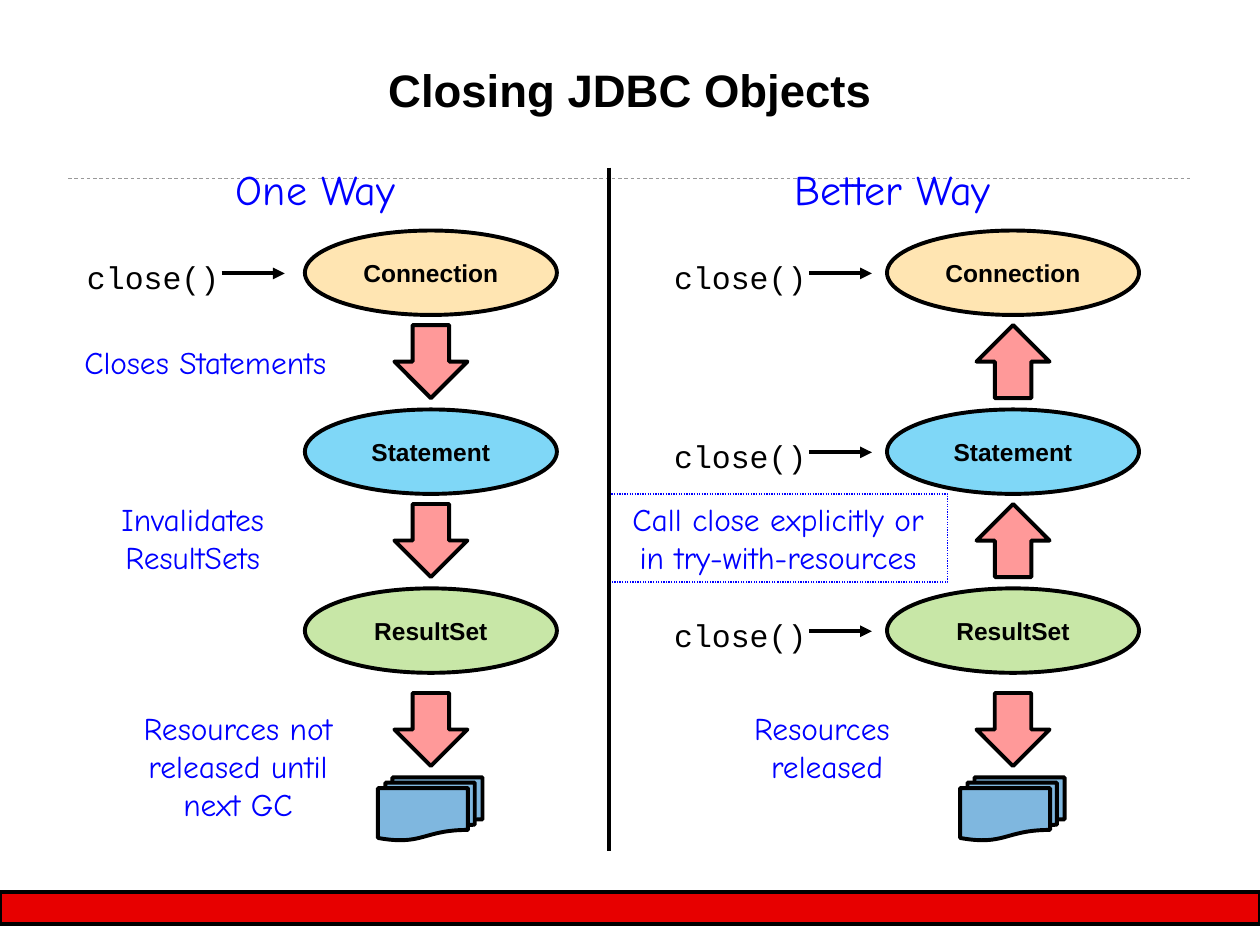
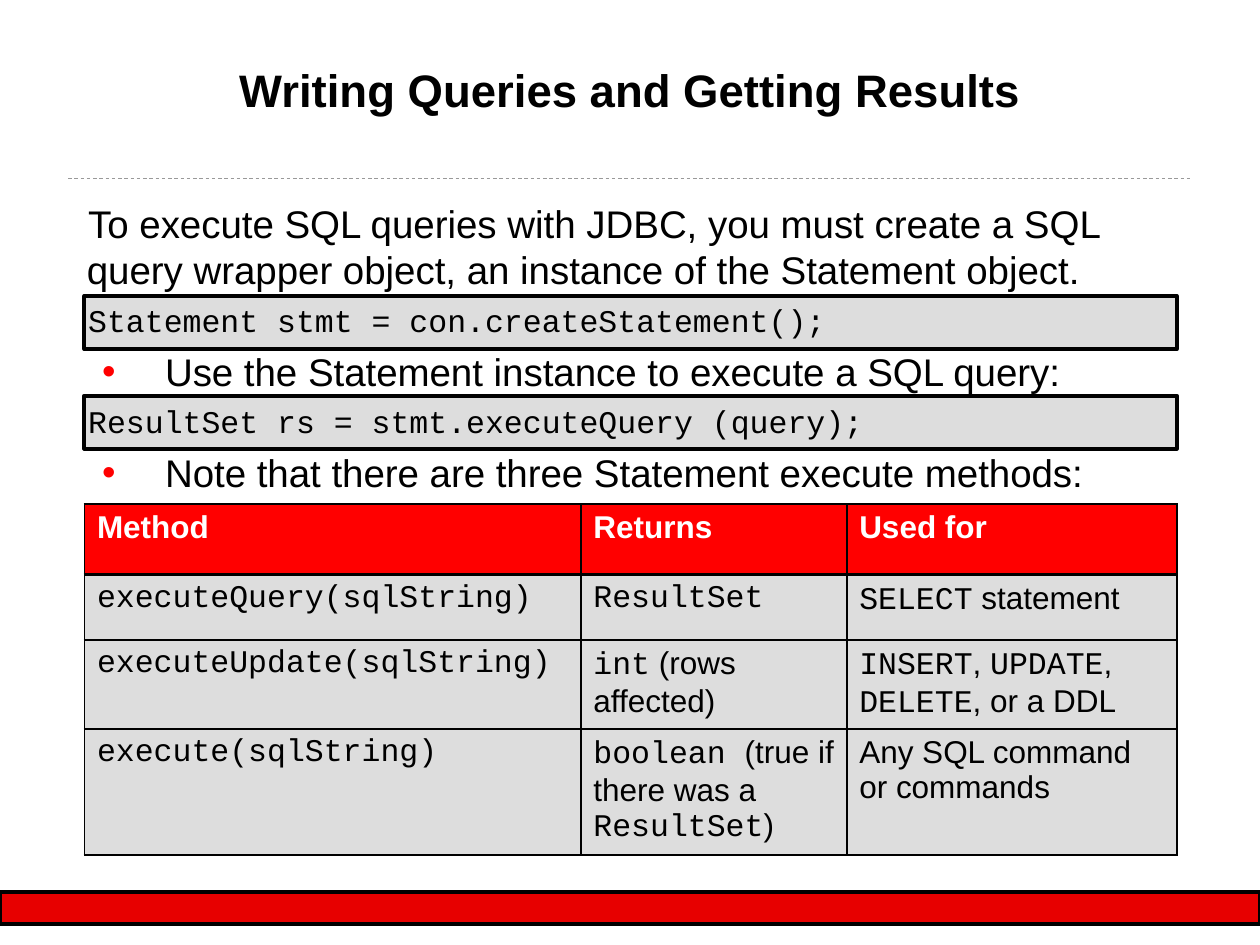
from lxml.etree import SubElement
from pptx import Presentation
from pptx.dml.color import RGBColor
from pptx.enum.dml import MSO_LINE
from pptx.enum.shapes import MSO_CONNECTOR, MSO_SHAPE
from pptx.enum.text import MSO_ANCHOR, MSO_AUTO_SIZE, PP_ALIGN
from pptx.oxml import parse_xml
from pptx.oxml.ns import nsdecls, qn
from pptx.util import Inches, Pt

COLORS = {
    "black": "000000", "white": "FFFFFF", "rule": "999999", "band": "E70000",
    "red": "FF0000", "blue": "0000FF", "gray": "DDDDDD", "pink": "FF9999",
    "connection": "FFCC66", "statement": "00B0F0", "result": "92D050",
    "resources": "0070C0",
}
SANS, HAND, MONO = "Arial", "Comic Neue", "Courier New"


def write(paragraph, text, size=18, font=SANS, color="black", bold=False,
          align=PP_ALIGN.LEFT, before=0):
    """Fill a paragraph; newlines break lines and `backticks` mark code."""
    paragraph.alignment = align
    paragraph.line_spacing = 1.0
    paragraph.space_before = Pt(before)
    for line_number, line in enumerate(text.split("\n")):
        if line_number:
            paragraph.add_line_break()
        for part_number, part in enumerate(line.split("`")):
            if not part:
                continue
            run = paragraph.add_run()
            run.text = part
            run.font.size = Pt(size)
            run.font.name = MONO if part_number % 2 else font
            run.font.bold = bold
            run.font.color.rgb = RGBColor.from_string(COLORS[color])


def paint(shape, fill=None, alpha=None, line="black", width=2.25):
    """Set fill and line of a shape or connector and remove its shadow."""
    if fill:
        shape.fill.solid()
        shape.fill.fore_color.rgb = RGBColor.from_string(COLORS[fill])
    if alpha:
        color = shape.element.spPr.find(qn("a:solidFill"))[0]
        SubElement(color, qn("a:alpha"), val=str(alpha * 1000))
    shape.line.color.rgb = RGBColor.from_string(COLORS[line])
    shape.line.width = Pt(width)
    SubElement(shape.element.spPr, qn("a:effectLst"))


presentation = Presentation()
presentation.slide_width = Inches(10)
presentation.slide_height = Inches(7.5)

# Title, rule and bottom band on both slides
slides = []
for layout_number, title_text in [
    (5, "Closing JDBC Objects"),
    (1, "Writing Queries and Getting Results"),
]:
    slide = presentation.slides.add_slide(presentation.slide_layouts[layout_number])
    slides.append(slide)
    rule = slide.shapes.add_connector(
        MSO_CONNECTOR.STRAIGHT, Inches(0.54), Inches(1.42), Inches(9.46), Inches(1.42))
    paint(rule, line="rule", width=0.5)
    rule.line.dash_style = MSO_LINE.DASH
    band = slide.shapes.add_shape(
        MSO_SHAPE.FLOWCHART_PROCESS, 0, Inches(7.08), Inches(10), Inches(0.25))
    paint(band, "band")

    title = slide.shapes.title
    title.left, title.top = Inches(0.67), Inches(0.48)
    title.width, title.height = Inches(8.66), Inches(0.96)
    frame = title.text_frame
    frame.auto_size = MSO_AUTO_SIZE.NONE
    frame.vertical_anchor = MSO_ANCHOR.TOP
    frame.margin_left = frame.margin_right = Inches(0.01)
    frame.margin_top = frame.margin_bottom = Inches(0.01)
    write(frame.paragraphs[0], title_text, size=26, bold=True, align=PP_ALIGN.CENTER)

closing_slide, query_slide = slides

# Slide 1: two ways of closing, side by side
shapes = closing_slide.shapes
STAGES = [("Connection", "connection"), ("Statement", "statement"),
          ("ResultSet", "result")]
STAGE_TOP, STAGE_STEP = 1.83, 1.42
ARROW_TOPS = [2.58, 4, 5.5]
labels = [
    ("One Way", 1.67, 1.25, 1.67, 0.5, 24),
    ("Better Way", 5.92, 1.25, 2.33, 0.5, 24),
    ("Closes Statements", 0.45, 2.67, 2.36, 0.4, 18),
    ("Invalidates ResultSets", 0.48, 3.92, 2.1, 0.7, 18),
    ("Resources not\nreleased until\nnext GC", 0.96, 5.58, 1.86, 1, 18),
    ("Resources \nreleased", 5.83, 5.58, 1.47, 0.7, 18),
    ("Call close explicitly or\nin try-with-resources", 4.83, 3.92, 2.69, 0.7, 18),
]

# Per column: left of ellipses, left of close(), number of calls, arrow rotations
for column_left, call_left, call_count, rotations in [
    (2.42, 0.59, 1, (0, 0, 0)),
    (7.04, 5.25, 3, (180, 180, 0)),
]:
    for index, (name, fill) in enumerate(STAGES):
        top = STAGE_TOP + index * STAGE_STEP
        ellipse = shapes.add_shape(
            MSO_SHAPE.OVAL, Inches(column_left), Inches(top), Inches(2), Inches(0.67))
        paint(ellipse, fill, alpha=50)
        ellipse.text_frame.vertical_anchor = MSO_ANCHOR.MIDDLE
        ellipse.text_frame.margin_top = ellipse.text_frame.margin_bottom = Inches(0.01)
        write(ellipse.text_frame.paragraphs[0], name, size=14, bold=True,
              align=PP_ALIGN.CENTER)

        block_arrow = shapes.add_shape(
            MSO_SHAPE.DOWN_ARROW, Inches(column_left + 0.71), Inches(ARROW_TOPS[index]),
            Inches(0.58), Inches(0.58))
        paint(block_arrow, "pink")
        block_arrow.rotation = rotations[index]

        if index < call_count:
            labels.append(("`close()`", call_left, top + 0.17, 1.25, 0.4, 18))
            call_arrow = shapes.add_connector(
                MSO_CONNECTOR.STRAIGHT, Inches(call_left + 1.17), Inches(top + 0.34),
                Inches(call_left + 1.67), Inches(top + 0.34))
            paint(call_arrow)
            SubElement(call_arrow.element.spPr.find(qn("a:ln")), qn("a:tailEnd"),
                       type="triangle")

    documents = shapes.add_shape(
        MSO_SHAPE.FLOWCHART_MULTIDOCUMENT, Inches(column_left + 0.58), Inches(6.17),
        Inches(0.83), Inches(0.5))
    paint(documents, "resources", alpha=50)

for text, left, top, width, height, size in labels:
    label = shapes.add_textbox(Inches(left), Inches(top), Inches(width), Inches(height))
    frame = label.text_frame
    frame.word_wrap = True
    frame.margin_left = frame.margin_right = 0
    write(frame.paragraphs[0], text, size=size, font=HAND,
          color="black" if "`" in text else "blue", align=PP_ALIGN.CENTER)
    if text.startswith("Call close"):
        paint(label, line="blue", width=0.75)
        label.line.dash_style = MSO_LINE.ROUND_DOT

divider = shapes.add_connector(
    MSO_CONNECTOR.STRAIGHT, Inches(4.83), Inches(1.33), Inches(4.83), Inches(6.75))
paint(divider)

# Slide 2: code boxes behind the body text
shapes = query_slide.shapes
for top in (2.35, 3.14):
    code_box = shapes.add_shape(
        MSO_SHAPE.RECTANGLE, Inches(0.67), Inches(top), Inches(8.67), Inches(0.42))
    paint(code_box, "gray")

body = query_slide.placeholders[1]
shapes.element.append(body.element)
body.left, body.top = Inches(0.67), Inches(1.58)
body.width, body.height = Inches(8.66), Inches(2.38)
frame = body.text_frame
frame.auto_size = MSO_AUTO_SIZE.NONE
frame.margin_left = frame.margin_right = Inches(0.01)
frame.margin_top = frame.margin_bottom = Inches(0.01)
BODY = [
    ("plain", "To execute SQL queries with JDBC, you must create a SQL query wrapper "
              "object, an instance of the Statement object."),
    ("code", "`Statement stmt = con.createStatement();`"),
    ("bullet", "Use the Statement instance to execute a SQL query:"),
    ("code", "`ResultSet rs = stmt.executeQuery (query);`"),
    ("bullet", "Note that there are three Statement execute methods:"),
]
for index, (kind, text) in enumerate(BODY):
    paragraph = frame.add_paragraph() if index else frame.paragraphs[0]
    properties = paragraph._p.get_or_add_pPr()
    if kind == "bullet":
        paragraph.level = 1
        margin, indent = 0.63, -0.5
        bullet_color = SubElement(properties, qn("a:buClr"))
        SubElement(bullet_color, qn("a:srgbClr"), val=COLORS["red"])
        SubElement(properties, qn("a:buFont"), typeface=SANS)
        SubElement(properties, qn("a:buChar"), char="•")
    else:
        margin, indent = 0.01, 0.01
        SubElement(properties, qn("a:buNone"))
    properties.set("marL", str(Inches(margin)))
    properties.set("indent", str(Inches(indent)))
    before = 4.5 if kind == "code" else 5.5
    write(paragraph, text, size=18 if kind == "code" else 22,
          before=before if index else 0)

# Slide 2: table of execute methods
METHODS = [
    ("Method", "Returns", "Used for"),
    ("`executeQuery(sqlString)`", "`ResultSet`", "`SELECT` statement"),
    ("`executeUpdate(sqlString)`", "`int` (rows affected)",
     "`INSERT`, `UPDATE`, `DELETE`, or a DDL"),
    ("`execute(sqlString)`", "`boolean `(true if there was a `ResultSet`)",
     "Any SQL command or commands"),
]
table = shapes.add_table(
    4, 3, Inches(0.67), Inches(4), Inches(8.67), Inches(2.78)).table
table.horz_banding = False
for column, width in zip(table.columns, (3.94, 2.11, 2.62)):
    column.width = Inches(width)
for row, height in zip(table.rows, (0.56, 0.52, 0.7, 1)):
    row.height = Inches(height)
for row_number, texts in enumerate(METHODS):
    header = row_number == 0
    for column_number, text in enumerate(texts):
        cell = table.cell(row_number, column_number)
        cell.fill.solid()
        cell.fill.fore_color.rgb = RGBColor.from_string(COLORS["red" if header else "gray"])
        write(cell.text_frame.paragraphs[0], text, bold=header,
              color="white" if header else "black")
        for position, side in enumerate("LRTB"):
            thick = (row_number, side) in [(0, "B"), (1, "T")]
            border = parse_xml(
                f'<a:ln{side} {nsdecls("a")} w="{Pt(2.21 if thick else 1.08)}"><a:solidFill>'
                f'<a:srgbClr val="{COLORS["black"]}"/></a:solidFill></a:ln{side}>')
            cell._tc.get_or_add_tcPr().insert(position, border)

presentation.save("out.pptx")
